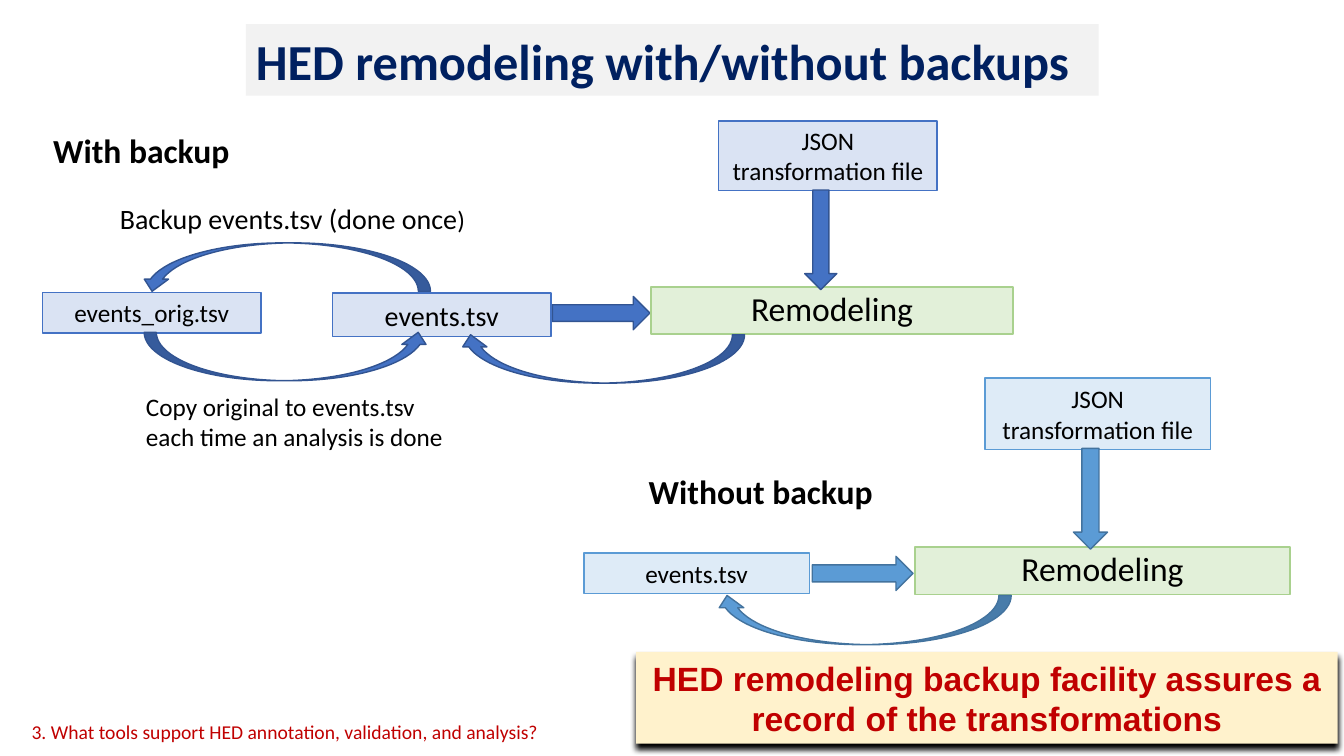
from lxml import etree
from pptx import Presentation
from pptx import util as u
from pptx.dml.color import RGBColor
from pptx.enum import shapes, text
from pptx.oxml.ns import qn

KIND = shapes.MSO_SHAPE
ALIGN = text.PP_ALIGN
RED, BLACK, NAVY = "C00000", "000000", "002060"
BLUE = dict(pale="DAE3F3", main="4472C4", edge="325491")
SKY = dict(pale="DEEBF7", main="5B9BD5", edge="43739E")


def color(code):
    return RGBColor.from_string(code)


class Deck:
    def __init__(self):
        self.prs = Presentation()
        self.prs.slide_width, self.prs.slide_height = u.Cm(33.87), u.Cm(19.05)
        self.slide = self.prs.slides.add_slide(self.prs.slide_layouts[6])
        self.font = "Calibri"

    def shape(self, kind, at, fill, line=None, width=1):
        item = self.slide.shapes.add_shape(kind, *map(u.Cm, at))
        item.shadow.inherit = False
        item.fill.solid()
        item.fill.fore_color.rgb = color(fill)
        if line:
            item.line.color.rgb = color(line)
            item.line.width = u.Pt(width)
        else:
            item.line.fill.background()
        return item

    def fit(self, item, words, size, ink=BLACK, bold=False, align=ALIGN.LEFT, font=None):
        """Set the words and their style in a shape."""
        frame = item.text_frame
        frame.word_wrap = True
        para = frame.paragraphs[0]
        para.alignment = align
        para.font.name = font or self.font
        para.font.size = u.Pt(size)
        para.font.bold = bold
        para.font.color.rgb = color(ink)
        para.add_run().text = words
        return para

    def label(self, at, words, size, **style):
        item = self.slide.shapes.add_textbox(*map(u.Cm, at))
        return self.fit(item, words, size, **style)

    def box(self, at, words, size, fill, line=None, align=ALIGN.CENTER, **style):
        item = self.shape(KIND.RECTANGLE, at, fill, line, 1.25)
        item.text_frame.vertical_anchor = text.MSO_ANCHOR.MIDDLE
        self.fit(item, words, size, align=align, **style)
        return item

    def step(self, at):
        """Draw a green Remodeling box."""
        item = self.box(at, "Remodeling", 24, "E2F0D9", "A9D18E")
        para = item.text_frame.paragraphs[0]
        para.line_spacing = 0.9
        para.space_before = u.Pt(10)

    def arrow(self, at, tone, turn=0, kind=KIND.RIGHT_ARROW, flip=""):
        item = self.shape(kind, at, tone["main"], tone["edge"])
        item.rotation = turn
        for axis in flip:
            item._element.spPr.xfrm.set("flip" + axis, "1")

    def curve(self, at, tone, turn, flip):
        self.arrow(at, tone, turn, KIND.CURVED_LEFT_ARROW, flip)

    def shade(self, item):
        """Give the shape a black shadow below it."""
        effects = item._element.spPr.find(qn("a:effectLst"))
        drop = etree.SubElement(effects, qn("a:outerShdw"), blurRad="50800",
                                dist="50800", dir="5400000", algn="t", rotWithShape="0")
        etree.SubElement(drop, qn("a:srgbClr"), val=BLACK)


def main():
    deck = Deck()
    recipe = "JSON transformation file"

    # Without backup
    deck.box((24.82, 9.53, 5.69, 1.8), recipe, 18, SKY["pale"], SKY["main"])
    deck.arrow((20.47, 14.02, 2.54, 0.86), SKY)
    deck.box((14.71, 13.94, 5.69, 1.02), "events.tsv", 18, SKY["pale"], SKY["main"])
    deck.step((23.06, 13.79, 9.45, 1.19))
    deck.arrow((26.21, 12.14, 2.54, 0.86), SKY, 90)
    deck.curve((21.13, 11.89, 1.24, 7.47), SKY, 270, "HV")

    # Title, footer and notes on the backup loop
    deck.box((6.2, 0.61, 21.49, 1.8), "HED remodeling with/without backups", 36,
             "F2F2F2", ink=NAVY, bold=True, align=ALIGN.LEFT)
    deck.label((0, 18.01, 13.82, 0.86),
               "3. What tools support HED annotation, validation, and analysis?",
               14, ink=RED, align=ALIGN.RIGHT)
    deck.label((3.43, 9.73, 8.36, 1.75),
               "Copy original to events.tsv each time an analysis is done", 18)
    once = deck.label((2.77, 4.95, 10.21, 1.09), "Backup events.tsv (done once", 20)
    end = once.add_run()
    end.text = ")"
    end.font.size = u.Pt(18)

    # With backup
    deck.box((18.11, 3.05, 5.51, 1.75), recipe, 18, BLUE["pale"], BLUE["main"])
    deck.arrow((13.92, 7.47, 2.46, 0.84), BLUE)
    deck.box((8.38, 7.39, 5.51, 1.09), "events.tsv", 20, BLUE["pale"], BLUE["main"])
    deck.step((16.41, 7.24, 9.12, 1.17))
    deck.box((1.07, 7.37, 5.51, 1.02), "events_orig.tsv", 18, BLUE["pale"], BLUE["main"])
    deck.curve((6.58, 3.07, 1.22, 7.32), BLUE, 90, "H")
    deck.curve((6.63, 5.38, 1.22, 7.21), BLUE, 90, "V")
    deck.arrow((19.43, 5.64, 2.51, 0.81), BLUE, 90)
    deck.curve((14.55, 5.44, 1.22, 7.21), BLUE, 270, "HV")

    # Message and headings
    deck.shade(deck.box((16.03, 16.43, 17.68, 2.31),
                        "HED remodeling backup facility assures a record of the transformations",
                        24, "FFF2CC", ink=RED, bold=True, font="Arial"))
    deck.label((1.09, 3.15, 6.05, 1.27), "With backup", 24, bold=True)
    deck.label((16.1, 11.73, 6.63, 1.27), "Without backup", 24, bold=True)

    deck.prs.save("out.pptx")


if __name__ == "__main__":
    main()
